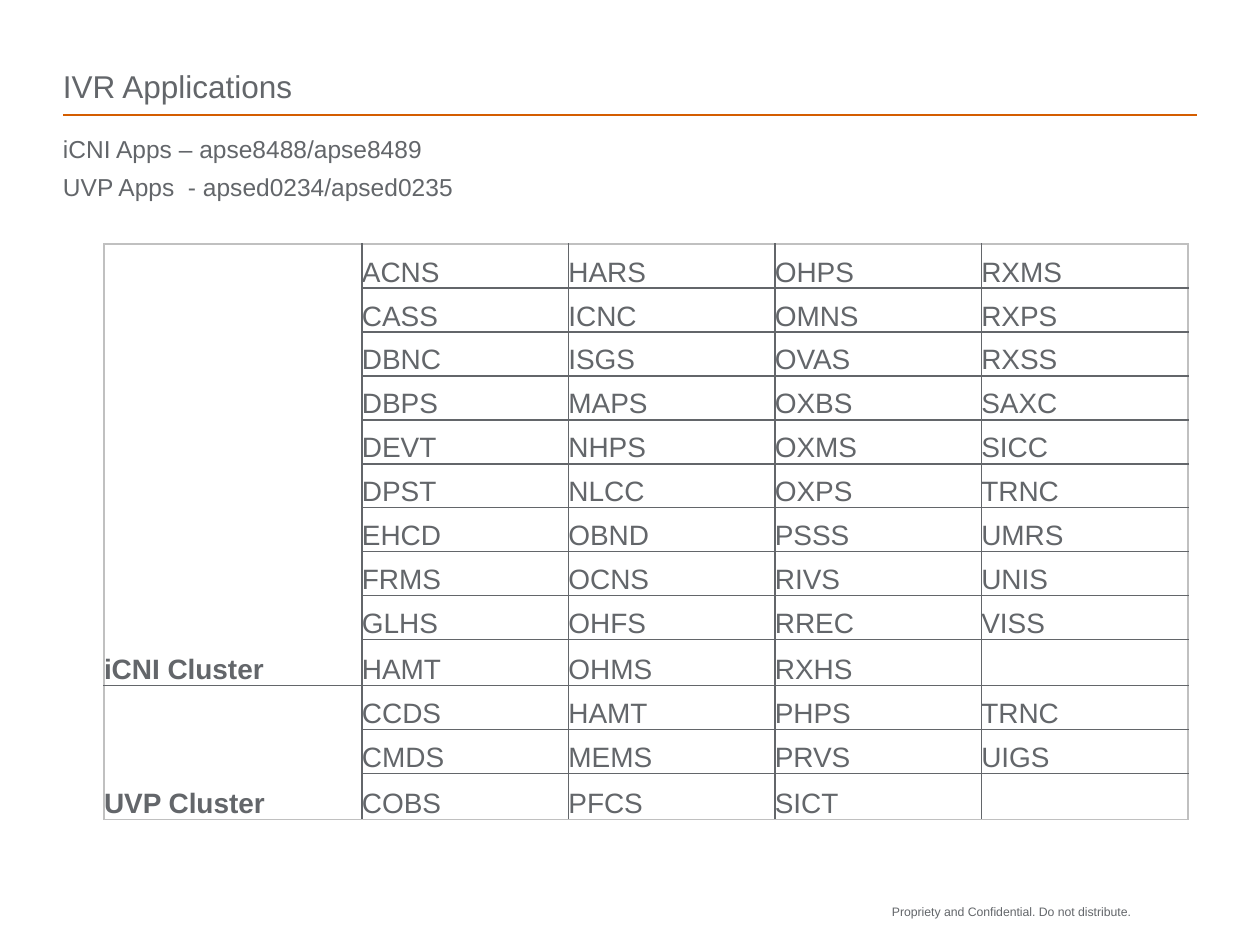
from dataclasses import dataclass

from lxml.etree import SubElement
from pptx import Presentation
from pptx.dml.color import RGBColor
from pptx.enum.shapes import MSO_CONNECTOR as Connector
from pptx.enum.text import MSO_ANCHOR as Anchor
from pptx.oxml.ns import qn
from pptx.util import Emu, Pt

EMU_PER_PX = 914400 / 126


@dataclass(frozen=True)
class Theme:
    font: str = "Arial"
    ink: str = "63666A"
    accent: str = "D45D00"
    frame: str = "C0C0C0"
    title_size: int = 18
    body_size: int = 14
    table_size: int = 16
    footer_size: int = 7
    line_width: int = 1


@dataclass(frozen=True)
class Box:
    left: int
    top: int
    width: int
    height: int

    def emu(self):
        return [px(side) for side in (self.left, self.top, self.width, self.height)]


THEME = Theme()
NO_MARGINS = dict.fromkeys(
    ("margin_left", "margin_right", "margin_top", "margin_bottom"), 0)

CLUSTERS = {
    "iCNI Cluster": [
        "ACNS HARS OHPS RXMS",
        "CASS ICNC OMNS RXPS",
        "DBNC ISGS OVAS RXSS",
        "DBPS MAPS OXBS SAXC",
        "DEVT NHPS OXMS SICC",
        "DPST NLCC OXPS TRNC",
        "EHCD OBND PSSS UMRS",
        "FRMS OCNS RIVS UNIS",
        "GLHS OHFS RREC VISS",
        "HAMT OHMS RXHS",
    ],
    "UVP Cluster": [
        "CCDS HAMT PHPS TRNC",
        "CMDS MEMS PRVS UIGS",
        "COBS PFCS SICT",
    ],
}


def px(length):
    return Emu(round(length * EMU_PER_PX))


def apply(target, formats):
    for name, value in formats.items():
        setattr(target, name, value)


def write(para, text, size, bold=False):
    span = para.add_run()
    span.text = text
    apply(span.font, {"name": THEME.font, "size": Pt(size), "bold": bold})
    span.font.color.rgb = RGBColor.from_string(THEME.ink)


def add_text(page, box, lines, size, anchor=Anchor.TOP, **spacing):
    frame = page.shapes.add_textbox(*box.emu()).text_frame
    apply(frame, {**NO_MARGINS, "word_wrap": True, "vertical_anchor": anchor})
    for index, line in enumerate(lines):
        para = frame.add_paragraph() if index else frame.paragraphs[0]
        apply(para, spacing)
        write(para, line, size)


def add_header(page, box):
    """Place the title at the bottom of the box, with a rule below it."""
    add_text(page, box, ["IVR Applications"], THEME.title_size, Anchor.BOTTOM)
    rule_y = px(box.top + box.height + 10)
    rule = page.shapes.add_connector(
        Connector.STRAIGHT, px(box.left), rule_y, px(box.left + box.width), rule_y)
    rule.line.color.rgb = RGBColor.from_string(THEME.accent)
    rule.line.width = Pt(THEME.line_width)
    SubElement(rule._element.spPr, qn("a:effectLst"))


def add_servers(page, box):
    lines = ["iCNI Apps – apse8488/apse8489", "UVP Apps  - apsed0234/apsed0235"]
    add_text(page, box, lines, THEME.body_size,
             line_spacing=0.95, space_after=Pt(5.6))


def set_borders(cell, colors):
    properties = cell._tc.get_or_add_tcPr()
    for edge, color in colors.items():
        line = SubElement(properties, qn(f"a:ln{edge}"), w=str(Pt(THEME.line_width)))
        fill = SubElement(line, qn("a:solidFill"))
        SubElement(fill, qn("a:srgbClr"), val=color)


def style_cells(table):
    """Clear the fills and give the outer frame a lighter line than the grid."""
    last_row, last_column = len(table.rows) - 1, len(table.columns) - 1
    for row in range(last_row + 1):
        for column in range(last_column + 1):
            cell = table.cell(row, column)
            apply(cell, {**NO_MARGINS, "vertical_anchor": Anchor.BOTTOM})
            bottom = row + (cell.span_height if cell.is_merge_origin else 1) - 1
            outer = {"L": column == 0, "R": column == last_column,
                     "T": row == 0, "B": bottom == last_row}
            set_borders(cell, {edge: THEME.frame if is_outer else THEME.ink
                               for edge, is_outer in outer.items()})
            cell.fill.background()


def add_clusters(page, box, label_width=258, app_columns=4, row_height=44, end_height=46):
    row_count = sum(map(len, CLUSTERS.values()))
    table = page.shapes.add_table(row_count, app_columns + 1, *box.emu()).table
    apply(table, {"first_row": False, "horz_banding": False})
    for column in table.columns:
        column.width = px((box.width - label_width) / app_columns)
    table.columns[0].width = px(label_width)
    for row in table.rows:
        row.height = px(row_height)

    start = 0
    for cluster, app_rows in CLUSTERS.items():
        end = start + len(app_rows) - 1
        table.rows[end].height = px(end_height)
        label = table.cell(start, 0)
        label.merge(table.cell(end, 0))
        write(label.text_frame.paragraphs[0], cluster, THEME.table_size, bold=True)
        for row, apps in enumerate(app_rows, start):
            for column, app in enumerate(apps.split(), 1):
                para = table.cell(row, column).text_frame.paragraphs[0]
                write(para, app, THEME.table_size)
        start = end + 1
    style_cells(table)


def add_footer(page, box):
    add_text(page, box, ["Propriety and Confidential. Do not distribute."],
             THEME.footer_size)


def main():
    deck = Presentation()
    apply(deck, {"slide_width": px(1260), "slide_height": px(945)})
    page = deck.slides.add_slide(deck.slide_layouts[6])
    add_header(page, Box(63, 21, 1134, 84))
    add_servers(page, Box(63, 136, 1134, 70))
    add_clusters(page, Box(104, 244, 1084, 576))
    add_footer(page, Box(892, 904, 262, 32))
    deck.save("out.pptx")


if __name__ == "__main__":
    main()
